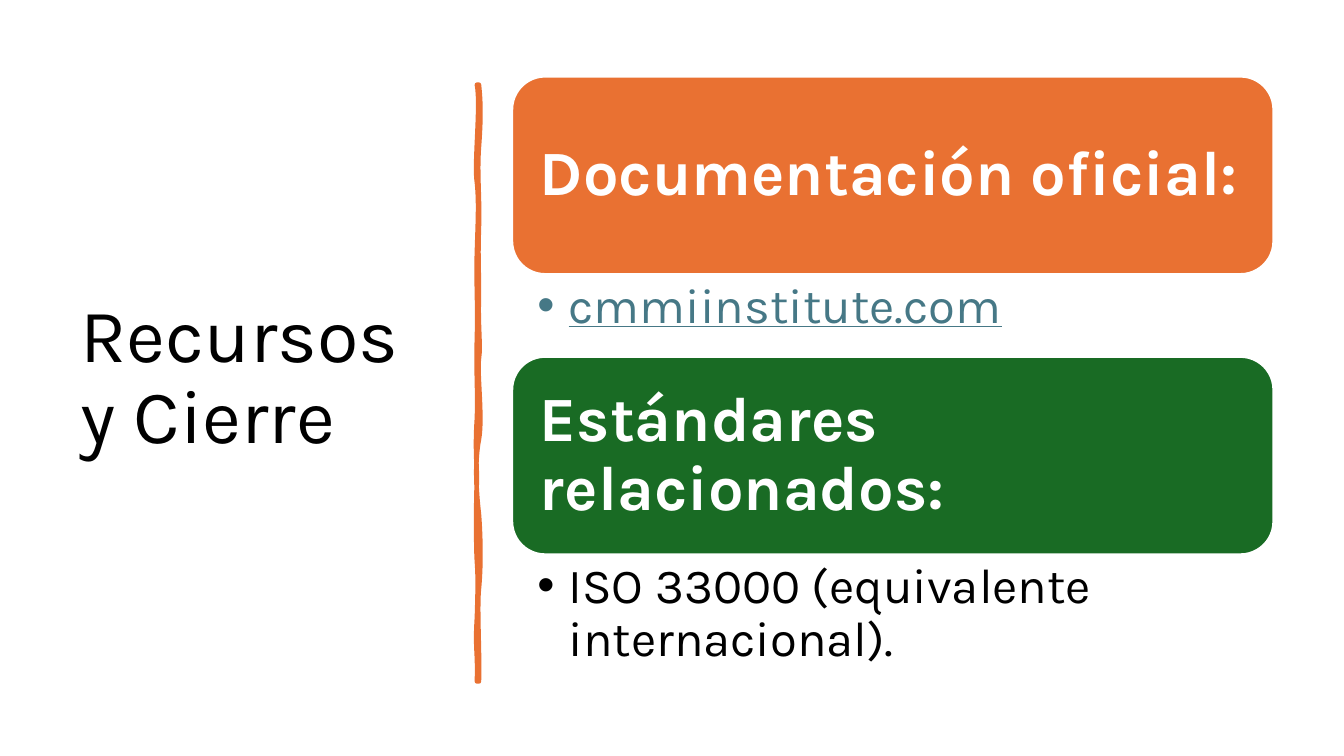
from lxml.etree import SubElement
from pptx import Presentation
from pptx.dml.color import RGBColor
from pptx.enum.shapes import MSO_SHAPE
from pptx.enum.text import MSO_ANCHOR, MSO_AUTO_SIZE, PP_ALIGN
from pptx.oxml.ns import qn
from pptx.util import Inches, Pt

FONT = "Karla"
BLACK = RGBColor(0x00, 0x00, 0x00)
WHITE = RGBColor(0xFF, 0xFF, 0xFF)
ORANGE = RGBColor(0xE9, 0x71, 0x32)
GREEN = RGBColor(0x19, 0x6B, 0x24)
LINK_TEAL = RGBColor(0x46, 0x78, 0x86)

HEADING_HEIGHT = 1.96
BULLET_INDENT = 0.31

DIVIDER_START = (4.75, 0.84)
# Each row is a cubic curve: two control points and an end point.
DIVIDER_CURVES = [
    (4.77, 1.02, 4.77, 1.19, 4.75, 1.46),
    (4.73, 1.73, 4.76, 1.95, 4.75, 2.26),
    (4.74, 2.57, 4.75, 2.62, 4.75, 2.94),
    (4.74, 3.25, 4.77, 3.42, 4.75, 3.56),
    (4.73, 3.70, 4.79, 4.14, 4.75, 4.36),
    (4.71, 4.57, 4.72, 4.84, 4.75, 5.10),
    (4.77, 5.36, 4.77, 5.64, 4.75, 5.84),
    (4.73, 6.03, 4.76, 6.50, 4.75, 6.76),
    (4.74, 6.76, 4.73, 6.76, 4.73, 6.76),
    (4.74, 6.46, 4.71, 6.44, 4.73, 6.13),
    (4.74, 5.83, 4.74, 5.70, 4.73, 5.57),
    (4.72, 5.44, 4.72, 4.95, 4.73, 4.77),
    (4.73, 4.59, 4.71, 4.45, 4.73, 4.15),
    (4.74, 3.86, 4.72, 3.73, 4.73, 3.35),
    (4.74, 2.98, 4.72, 2.81, 4.73, 2.50),
    (4.74, 2.18, 4.75, 2.00, 4.73, 1.81),
    (4.70, 1.63, 4.77, 1.04, 4.73, 0.84),
]


def place(shape, left, top, width, height):
    shape.left, shape.top = Inches(left), Inches(top)
    shape.width, shape.height = Inches(width), Inches(height)


def write(shape, text, *, size, color, bold=False, underline=False, bullet=False,
          anchor=MSO_ANCHOR.MIDDLE, insets=(0.11, 0.05, 0.1, 0.05)):
    frame = shape.text_frame
    frame.word_wrap = True
    frame.auto_size = MSO_AUTO_SIZE.NONE
    frame.vertical_anchor = anchor
    (frame.margin_left, frame.margin_top,
     frame.margin_right, frame.margin_bottom) = map(Inches, insets)
    frame.text = text
    paragraph = frame.paragraphs[0]
    paragraph.alignment = PP_ALIGN.LEFT
    paragraph.line_spacing = 0.9
    paragraph.space_before = Pt(0)
    if bullet:
        properties = paragraph._p.get_or_add_pPr()
        properties.set("marL", str(Inches(BULLET_INDENT)))
        properties.set("indent", str(-Inches(BULLET_INDENT)))
        SubElement(properties, qn("a:buFont"), typeface="Arial")
        SubElement(properties, qn("a:buChar"), char="•")
    font = paragraph.runs[0].font
    font.name, font.size = FONT, Pt(size)
    font.bold, font.underline = bold, underline
    font.color.rgb = color


def bend_segments(freeform, curves):
    """Turn the straight segments of a freeform into cubic curves."""
    segments = list(freeform._element.iter(qn("a:lnTo")))
    for segment, (x1, y1, x2, y2, *_) in zip(segments, curves):
        segment.tag = qn("a:cubicBezTo")
        for index, (x, y) in enumerate(((x1, y1), (x2, y2))):
            control = SubElement(segment, qn("a:pt"), x=str(Inches(x) - freeform.left),
                                 y=str(Inches(y) - freeform.top))
            segment.insert(index, control)


def add_divider(slide):
    builder = slide.shapes.build_freeform(*map(Inches, DIVIDER_START))
    ends = [(Inches(x), Inches(y)) for *_, x, y in DIVIDER_CURVES]
    builder.add_line_segments(ends, close=True)
    divider = builder.convert_to_shape()
    bend_segments(divider, DIVIDER_CURVES)
    divider.shadow.inherit = False
    divider.fill.solid()
    divider.fill.fore_color.rgb = ORANGE
    divider.line.color.rgb = ORANGE
    divider.line.width = Pt(3.25)
    SubElement(divider.line._get_or_add_ln(), qn("a:round"))


def add_resource(slide, body, box, heading, item, fill, item_color, underline=False):
    """Put a heading panel at the top of the box and its list below."""
    left, top, width, height = box
    panel = slide.shapes.add_shape(
        MSO_SHAPE.ROUNDED_RECTANGLE, *map(Inches, (left, top, width, HEADING_HEIGHT)))
    panel.shadow.inherit = False
    panel.fill.solid()
    panel.fill.fore_color.rgb = fill
    panel.line.color.rgb = WHITE
    panel.line.width = Pt(1.5)
    write(panel, heading, size=45, color=WHITE, bold=True, insets=(0.18, 0.19, 0.15, 0.19))

    place(body, left, top + HEADING_HEIGHT, width, height - HEADING_HEIGHT)
    write(body, item, size=35, color=item_color, underline=underline, bullet=True,
          anchor=MSO_ANCHOR.TOP, insets=(0.25, 0.07, 0.35, 0.06))


def build_closing_slide(presentation):
    slide = presentation.slides.add_slide(presentation.slide_layouts.get_by_name("Two Content"))
    title, documentation, standards = slide.placeholders
    place(title, 0.69, 0.7, 3.74, 6.11)
    write(title, "Recursos y Cierre", size=54, color=BLACK)
    add_divider(slide)
    add_resource(slide, documentation, (5.08, 0.76, 7.55, 2.77), "Documentación oficial:",
                 "cmmiinstitute.com", ORANGE, LINK_TEAL, underline=True)
    add_resource(slide, standards, (5.08, 3.54, 7.55, 3.16), "Estándares relacionados:",
                 "ISO 33000 (equivalente internacional).", GREEN, BLACK)


def main():
    presentation = Presentation()
    presentation.slide_width, presentation.slide_height = Inches(13.33), Inches(7.5)
    build_closing_slide(presentation)
    presentation.save("out.pptx")


if __name__ == "__main__":
    main()
